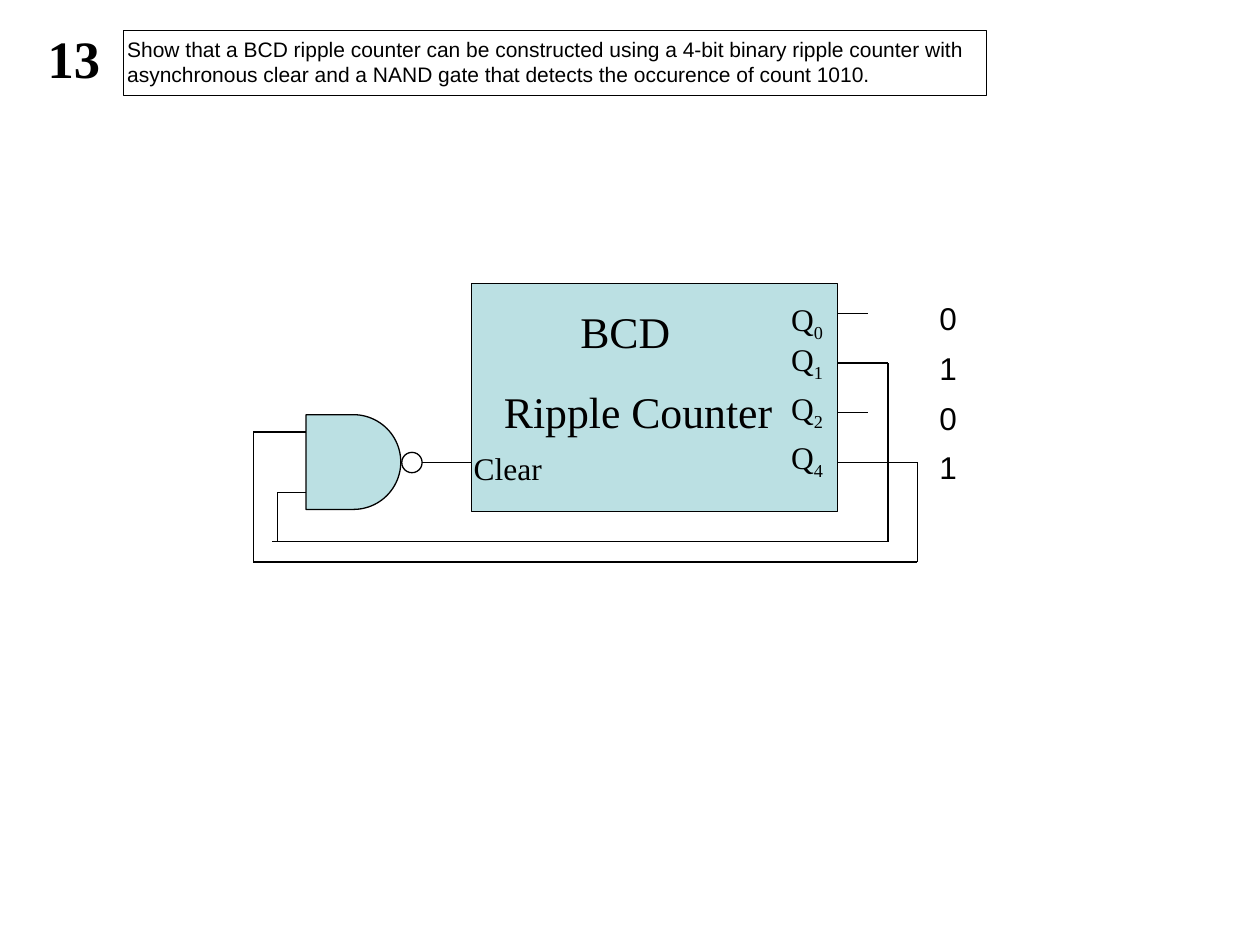
import pptx
import pptx.util
import pptx.dml.color
import pptx.enum.shapes
import pptx.enum.text
from lxml import etree
from pptx.util import Cm, Pt

BLACK = pptx.dml.color.RGBColor(0x00, 0x00, 0x00)
PALE_TEAL = pptx.dml.color.RGBColor(0xBB, 0xE0, 0xE3)
SERIF, SANS = "Times New Roman", "Arial"
DRAWING = "http://schemas.openxmlformats.org/drawingml/2006/main"
SHAPE = pptx.enum.shapes.MSO_SHAPE

# Content; all lengths are centimetres
NUMBER = "13"
QUESTION = ("Show that a BCD ripple counter can be constructed using a 4-bit binary "
            "ripple counter with asynchronous clear and a NAND gate that detects "
            "the occurence of count 1010.")
COUNTER_NAME = ["BCD", "Ripple Counter"]
OUTPUTS = [  # subscript, label top, bit of the detected count
    ("0", 5.92, "0"),
    ("1", 6.73, "1"),
    ("2", 7.72, "0"),
    ("4", 8.71, "1"),
]

# Circuit geometry
COUNTER = (9.5, 5.72, 7.39, 4.6)
COUNTER_RIGHT = COUNTER[0] + COUNTER[2]
GATE = (6.17, 8.36, 1.91, 1.91)
BUBBLE = (8.1, 9.12, 0.41, 0.41)
PIN_TOP, PIN_PITCH = 6.32, 1.0
PIN_Y = [PIN_TOP + PIN_PITCH * row for row in range(len(OUTPUTS))]
STUB_END = 17.5
INNER_LEFT, INNER_RIGHT, INNER_BOTTOM = 5.59, 17.9, 10.92
OUTER_LEFT, OUTER_RIGHT, OUTER_BOTTOM = 5.11, 18.49, 11.33
UPPER_INPUT, LOWER_INPUT = 8.71, 9.93

WIRES = [
    (COUNTER_RIGHT, PIN_Y[0], STUB_END, PIN_Y[0]),
    (COUNTER_RIGHT, PIN_Y[1], INNER_RIGHT, PIN_Y[1]),
    (COUNTER_RIGHT, PIN_Y[2], STUB_END, PIN_Y[2]),
    (COUNTER_RIGHT, PIN_Y[3], OUTER_RIGHT, PIN_Y[3]),
    (BUBBLE[0] + BUBBLE[2], PIN_Y[3], COUNTER[0], PIN_Y[3]),
    # Q1 feedback to the lower gate input
    (INNER_RIGHT, INNER_BOTTOM, INNER_RIGHT, PIN_Y[1]),
    (INNER_LEFT - 0.1, INNER_BOTTOM, INNER_RIGHT, INNER_BOTTOM),
    (INNER_LEFT, LOWER_INPUT, INNER_LEFT, INNER_BOTTOM),
    (GATE[0], LOWER_INPUT, INNER_LEFT, LOWER_INPUT),
    # Q4 feedback to the upper gate input
    (OUTER_RIGHT, PIN_Y[3], OUTER_RIGHT, OUTER_BOTTOM),
    (OUTER_RIGHT, OUTER_BOTTOM, OUTER_LEFT, OUTER_BOTTOM),
    (OUTER_LEFT, UPPER_INPUT, OUTER_LEFT, OUTER_BOTTOM),
    (OUTER_LEFT, UPPER_INPUT, GATE[0], UPPER_INPUT),
]


def place(box, bounds):
    box.left, box.top, box.width, box.height = [Cm(value) for value in bounds]


def write(box, lines, size, font=SERIF, bold=False, subscript="", before=0):
    """Fill a box with left-aligned lines; the subscript follows the last one."""
    frame = box.text_frame
    frame.word_wrap = True
    frame.auto_size = pptx.enum.text.MSO_AUTO_SIZE.NONE
    frame.vertical_anchor = pptx.enum.text.MSO_ANCHOR.TOP
    frame.text = "\n".join(lines)
    if subscript:
        span = frame.paragraphs[-1].add_run()
        span.text = subscript
        span._r.get_or_add_rPr().set("baseline", "-25000")
    for para in frame.paragraphs:
        para.alignment = pptx.enum.text.PP_ALIGN.LEFT
        para.space_before = Pt(before)
        for span in para.runs:
            span.font.name, span.font.size = font, Pt(size)
            span.font.bold = bold
            span.font.color.rgb = BLACK


def add_text(page, bounds, lines, size, **format):
    box = page.shapes.add_textbox(*[Cm(value) for value in bounds])
    write(box, lines, size, **format)
    return box


def add_outline(page, preset, bounds, fill=None):
    box = page.shapes.add_shape(preset, *[Cm(value) for value in bounds])
    box.shadow.inherit = False
    if fill is None:
        box.fill.background()
    else:
        box.fill.solid()
        box.fill.fore_color.rgb = fill
    box.line.color.rgb = BLACK
    box.line.width = Pt(0.75)


def add_wire(page, ends):
    wire = page.shapes.add_connector(
        pptx.enum.shapes.MSO_CONNECTOR.STRAIGHT, *[Cm(value) for value in ends])
    wire.line.color.rgb = BLACK
    wire.line.width = Pt(0.75)
    etree.SubElement(wire._element.spPr, "{%s}effectLst" % DRAWING)


def main():
    deck = pptx.Presentation()
    deck.slide_width, deck.slide_height = Cm(25.4), Cm(19.05)
    page = deck.slides.add_slide(deck.slide_layouts.get_by_name("Title Only"))

    question = page.shapes.title
    place(question, (2.31, 0.61, 19.61, 1.27))
    write(question, [QUESTION], 12, font=SANS)
    add_outline(page, SHAPE.RECTANGLE, (2.49, 0.61, 17.4, 1.32))
    add_text(page, (0.71, 0.41, 1.8, 1.52), [NUMBER], 30, bold=True, before=18.7)

    add_outline(page, SHAPE.RECTANGLE, COUNTER, PALE_TEAL)
    add_outline(page, SHAPE.FLOWCHART_CONNECTOR, BUBBLE)
    add_outline(page, SHAPE.FLOWCHART_DELAY, GATE, PALE_TEAL)
    for ends in WIRES:
        add_wire(page, ends)

    name = add_text(page, (9.91, 6.02, 8.99, 2.92), COUNTER_NAME, 25, before=15.6)
    name.text_frame.paragraphs[0]._p.get_or_add_pPr().set("marL", str(Cm(1.54)))
    add_text(page, (9.3, 8.92, 2.79, 1.02), ["Clear"], 18, before=11.2)
    for row, (subscript, top, bit) in enumerate(OUTPUTS):
        add_text(page, (15.7, top, 2.79, 1.12), ["Q"], 18,
                 subscript=subscript, before=11.2)
        add_text(page, (18.69, PIN_Y[row] - 0.41, 1.6, 1.02), [bit], 18,
                 font=SANS, before=11.2)

    deck.save("out.pptx")


if __name__ == "__main__":
    main()
